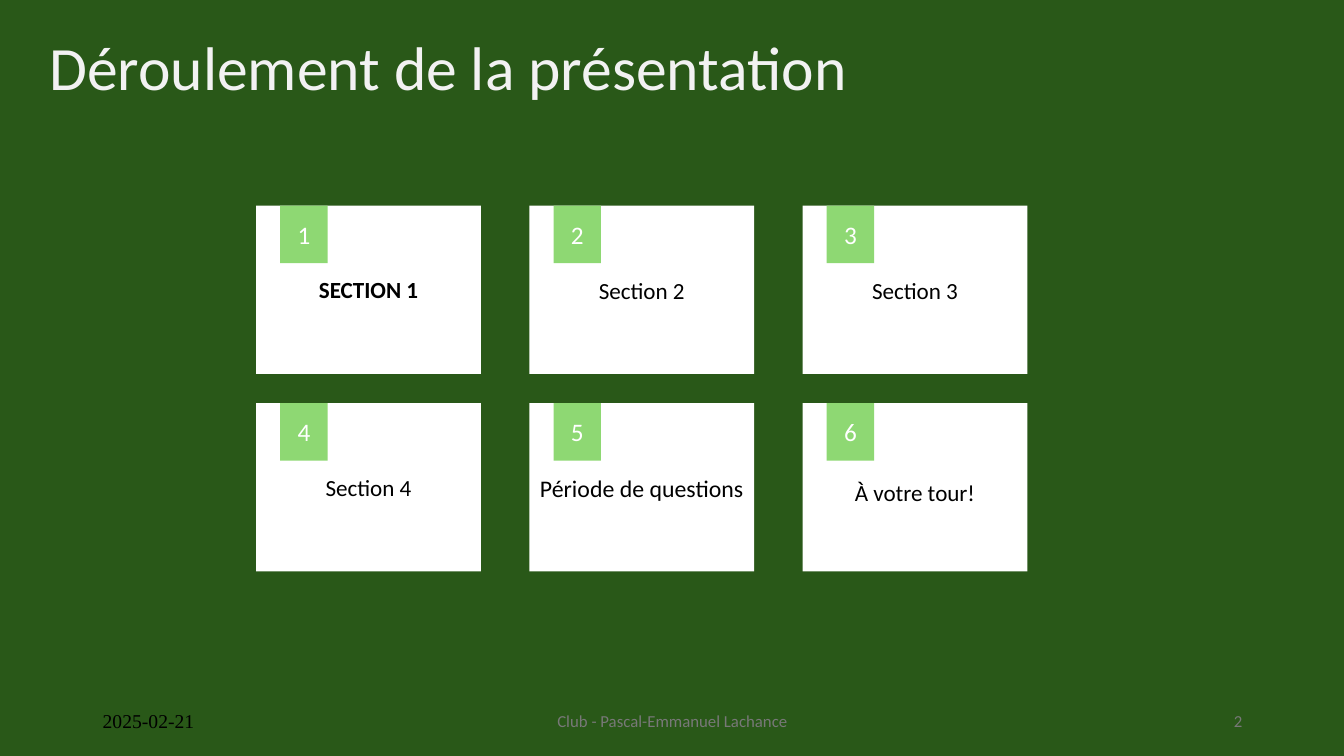
from pptx import Presentation
from pptx.dml.color import RGBColor
from pptx.enum.shapes import MSO_SHAPE as Preset
from pptx.enum.text import MSO_ANCHOR as Anchor, PP_ALIGN as Align
from pptx.util import Inches, Pt

GREEN = RGBColor(0x29, 0x58, 0x18)
LIME = RGBColor(0x8E, 0xD8, 0x73)
WHITE = RGBColor(0xFF, 0xFF, 0xFF)
OFF_WHITE = RGBColor(0xF2, 0xF2, 0xF2)
GREY = RGBColor(0x78, 0x78, 0x78)
BLACK = RGBColor(0, 0, 0)

TITLE = "Déroulement de la présentation"
# label, size, bold, label offset from the card top
SECTIONS = [
    ("SECTION 1", 16.5, True, 0.69),
    ("Section 2", 16.5, False, 0.7),
    ("Section 3", 16.5, False, 0.7),
    ("Section 4", 16.5, False, 0.7),
    ("Période de questions", 17, False, 0.7),
    ("À votre tour!", 16.5, False, 0.75),
]
FOOTER = [
    ("2025-02-21", 0.92, 3, Align.LEFT, 14, "Times New Roman", BLACK),
    ("Club - Pascal-Emmanuel Lachance", 4.42, 4.5, Align.CENTER, 12, "Calibri", GREY),
    ("2", 9.42, 3, Align.RIGHT, 12, "Calibri", GREY),
]

COLUMNS = 3
GRID_LEFT, GRID_TOP = 2.54, 2.04
PITCH_X, PITCH_Y = 2.71, 1.96
CARD_WIDTH, CARD_HEIGHT = 2.23, 1.67


def write(part, text, size, color, align, font="Calibri", bold=False):
    """Put one formatted paragraph in a shape."""
    paragraph = part.text_frame.paragraphs[0]
    paragraph.text = text
    paragraph.alignment = align
    paragraph.font.name = font
    paragraph.font.size = Pt(size)
    paragraph.font.bold = bold
    paragraph.font.color.rgb = color


def add_box(slide, left, top, width, height, fill):
    """Add a flat rectangle without outline."""
    box = slide.shapes.add_shape(
        Preset.RECTANGLE, Inches(left), Inches(top), Inches(width), Inches(height))
    box.shadow.inherit = False
    box.fill.solid()
    box.fill.fore_color.rgb = fill
    box.line.fill.background()
    return box


def add_label(slide, left, top, width, height):
    """Add a wrapping text box."""
    label = slide.shapes.add_textbox(
        Inches(left), Inches(top), Inches(width), Inches(height))
    label.text_frame.word_wrap = True
    return label


def add_card(slide, index, text, size, bold, offset):
    """Add a numbered section card at its place in the grid."""
    row, column = divmod(index, COLUMNS)
    left = GRID_LEFT + column * PITCH_X
    top = GRID_TOP + row * PITCH_Y
    add_box(slide, left, top, CARD_WIDTH, CARD_HEIGHT, WHITE)
    label = add_label(slide, left, top + offset, CARD_WIDTH, 0.27)
    frame = label.text_frame
    frame.margin_left = frame.margin_right = frame.margin_top = frame.margin_bottom = 0
    write(label, text, size, BLACK, Align.CENTER, bold=bold)
    badge = add_box(slide, left + 0.24, top, 0.47, 0.57, LIME)
    badge.text_frame.vertical_anchor = Anchor.MIDDLE
    write(badge, str(index + 1), 18, WHITE, Align.CENTER)


def main():
    """Build and save the agenda slide."""
    deck = Presentation()
    deck.slide_width, deck.slide_height = Inches(13.33), Inches(7.5)
    slide = deck.slides.add_slide(deck.slide_layouts[5])
    slide.background.fill.solid()
    slide.background.fill.fore_color.rgb = GREEN

    title = slide.shapes.title
    title.left, title.top = Inches(0.39), Inches(0.22)
    title.width, title.height = Inches(11.5), Inches(0.96)
    title.text_frame.vertical_anchor = Anchor.MIDDLE
    write(title, TITLE, 44, OFF_WHITE, Align.LEFT)
    title.text_frame.paragraphs[0].line_spacing = 0.9

    for index, section in enumerate(SECTIONS):
        add_card(slide, index, *section)

    for text, left, width, align, size, font, color in FOOTER:
        note = add_label(slide, left, 6.95, width, 0.4)
        note.text_frame.vertical_anchor = Anchor.MIDDLE
        write(note, text, size, color, align, font)

    deck.save("out.pptx")


if __name__ == "__main__":
    main()
